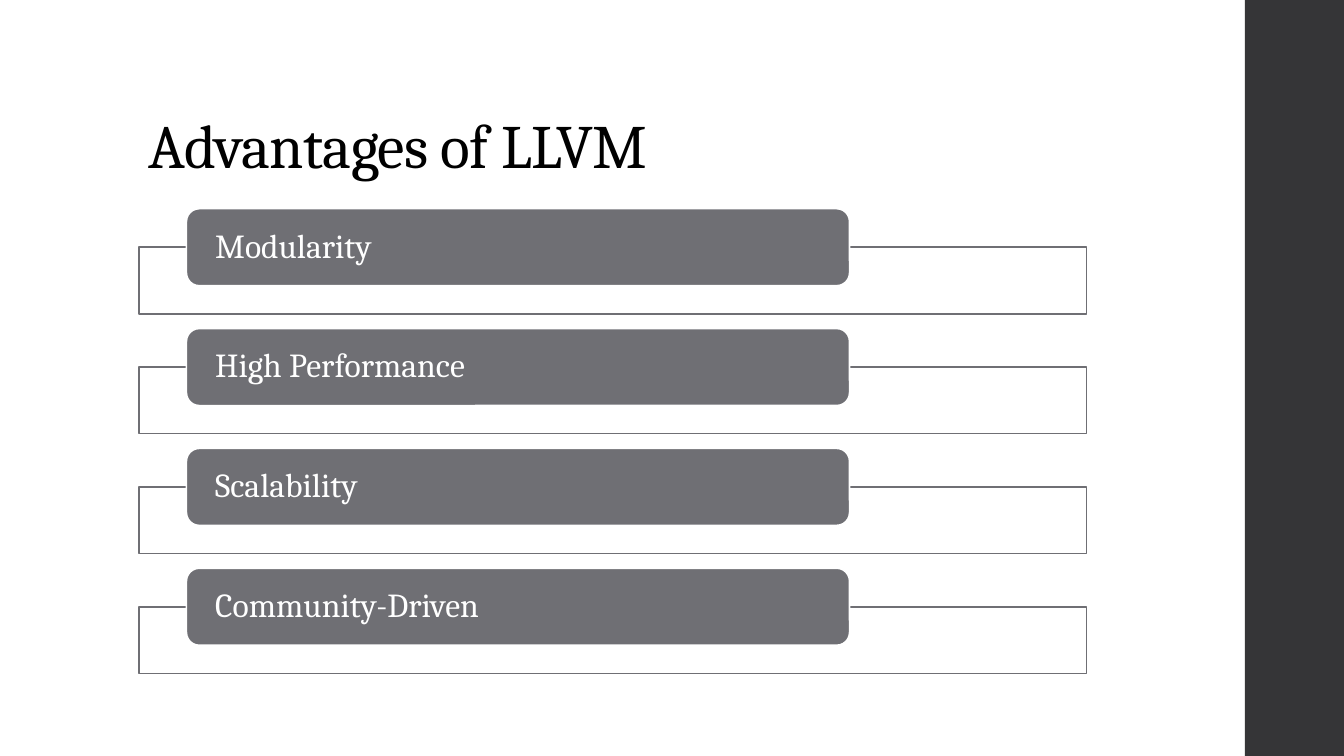
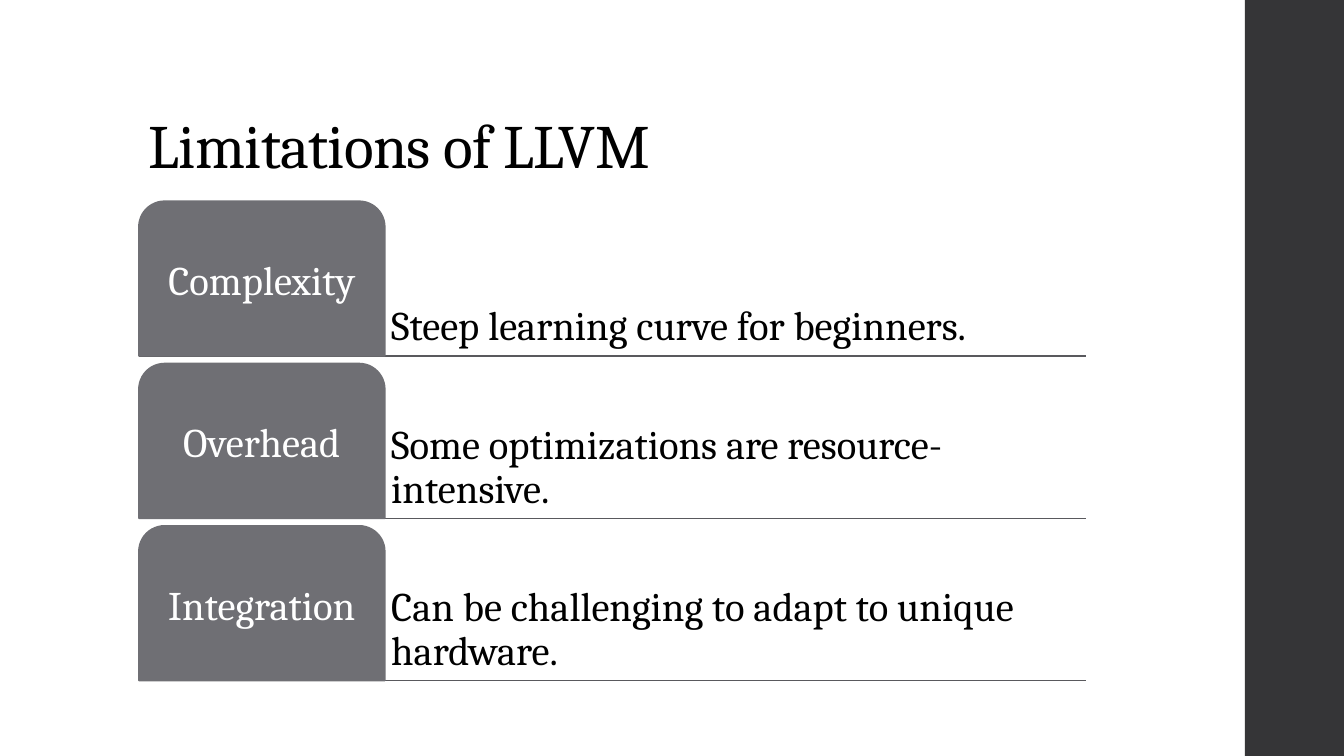
import lxml.etree
import pptx
import pptx.dml.color
import pptx.enum.shapes
import pptx.enum.text
import pptx.oxml.ns
import pptx.util

Cm = pptx.util.Cm
Pt = pptx.util.Pt
Kind = pptx.enum.shapes.MSO_SHAPE
Anchor = pptx.enum.text.MSO_ANCHOR
Align = pptx.enum.text.PP_ALIGN
qn = pptx.oxml.ns.qn

FONT = "Cambria"
WHITE, BLACK = "FFFFFF", "000000"
BAND, GRAY, RULE = "353537", "6F6F74", "59595D"
LINE_WIDTH = Pt(1.1)

LEFT, CONTENT_WIDTH = 3.5, 23.88
SLIDE_WIDTH, SLIDE_HEIGHT = 33.87, 19.05
BAND_LEFT = 31.37

PILL_TOP, PILL_STEP, PILL_HEIGHT = 5.26, 3.02, 1.94
PILL_INDENT, PILL_WIDTH = 1.2, 16.71
FRAME_HEIGHT = 1.68

TAB_TOP, TAB_STEP, TAB_HEIGHT, TAB_WIDTH = 5.07, 4.09, 3.9, 6.2

ADVANTAGES = ["Modularity", "High Performance", "Scalability", "Community-Driven"]
LIMITATIONS = [
    ("Complexity", "Steep learning curve for beginners."),
    ("Overhead", "Some optimizations are resource-intensive."),
    ("Integration", "Can be challenging to adapt to unique hardware."),
]


def color(value):
    return pptx.dml.color.RGBColor.from_string(value)


def apply(target, values):
    for name, value in values.items():
        setattr(target, name, value)


def write(shape, text, size, ink, anchor, align=Align.LEFT, inset_x=0.16, inset_y=0.16):
    frame = shape.text_frame
    apply(frame, {
        "word_wrap": True,
        "vertical_anchor": anchor,
        "margin_left": Cm(inset_x),
        "margin_right": Cm(inset_x),
        "margin_top": Cm(inset_y),
        "margin_bottom": Cm(inset_y),
    })
    paragraph = frame.paragraphs[0]
    apply(paragraph, {"alignment": align, "line_spacing": 0.9})
    run = paragraph.add_run()
    run.text = text
    apply(run.font, {"name": FONT, "size": Pt(size)})
    run.font.color.rgb = color(ink)
    return run


def add_text(slide, left, top, width, height, text, *style, **layout):
    box = slide.shapes.add_textbox(Cm(left), Cm(top), Cm(width), Cm(height))
    return write(box, text, *style, **layout)


def add_block(slide, kind, left, top, width, height, fill, outline=None):
    block = slide.shapes.add_shape(kind, Cm(left), Cm(top), Cm(width), Cm(height))
    block.shadow.inherit = False
    block.fill.solid()
    block.fill.fore_color.rgb = color(fill)
    if outline:
        block.line.color.rgb = color(outline)
        block.line.width = LINE_WIDTH
    else:
        block.line.fill.background()
    return block


def add_rule(slide, left, y, width):
    rule = slide.shapes.add_connector(
        pptx.enum.shapes.MSO_CONNECTOR.STRAIGHT, Cm(left), Cm(y), Cm(left + width), Cm(y))
    rule.line.color.rgb = color(RULE)
    rule.line.width = LINE_WIDTH
    lxml.etree.SubElement(rule._element.spPr, qn("a:effectLst"))


def add_titled_slide(deck, title):
    slide = deck.slides.add_slide(deck.slide_layouts[6])
    add_block(slide, Kind.RECTANGLE, BAND_LEFT, 0, SLIDE_WIDTH - BAND_LEFT, SLIDE_HEIGHT, BAND)
    heading = add_text(slide, LEFT, 1.02, 26.92, 3.68, title, 44, BLACK, Anchor.BOTTOM,
                       inset_x=0.25, inset_y=0.13)
    heading.font._element.set("spc", "-50")
    return slide


def add_advantage(slide, top, label):
    add_block(slide, Kind.RECTANGLE, LEFT, top + PILL_HEIGHT / 2, CONTENT_WIDTH,
              FRAME_HEIGHT, WHITE, GRAY)
    pill = add_block(slide, Kind.ROUNDED_RECTANGLE, LEFT + PILL_INDENT, top, PILL_WIDTH,
                     PILL_HEIGHT, GRAY, WHITE)
    write(pill, label, 24, WHITE, Anchor.MIDDLE, inset_x=0.63, inset_y=0)


def add_limitation(slide, top, label, detail):
    add_rule(slide, LEFT, top + TAB_HEIGHT, CONTENT_WIDTH)
    add_text(slide, LEFT + TAB_WIDTH, top, CONTENT_WIDTH - TAB_WIDTH, TAB_HEIGHT,
             detail, 29, BLACK, Anchor.BOTTOM)
    tab = add_block(slide, Kind.ROUND_2_SAME_RECTANGLE, LEFT, top, TAB_WIDTH, TAB_HEIGHT,
                    GRAY, GRAY)
    write(tab, label, 29, WHITE, Anchor.MIDDLE, Align.CENTER)


def main():
    deck = pptx.Presentation()
    apply(deck, {"slide_width": Cm(SLIDE_WIDTH), "slide_height": Cm(SLIDE_HEIGHT)})

    advantages = add_titled_slide(deck, "Advantages of LLVM")
    for row, label in enumerate(ADVANTAGES):
        add_advantage(advantages, PILL_TOP + row * PILL_STEP, label)

    limitations = add_titled_slide(deck, "Limitations of LLVM")
    for row, (label, detail) in enumerate(LIMITATIONS):
        add_limitation(limitations, TAB_TOP + row * TAB_STEP, label, detail)

    deck.save("out.pptx")


if __name__ == "__main__":
    main()
